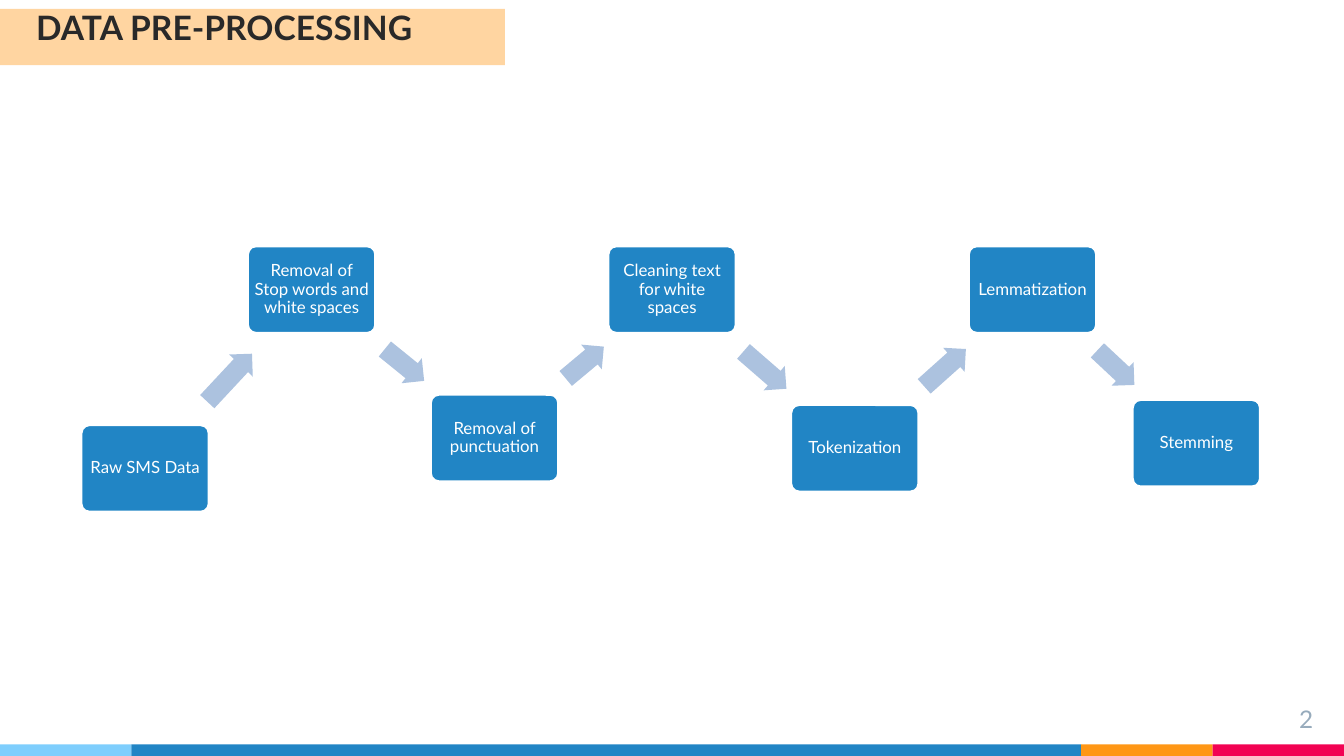
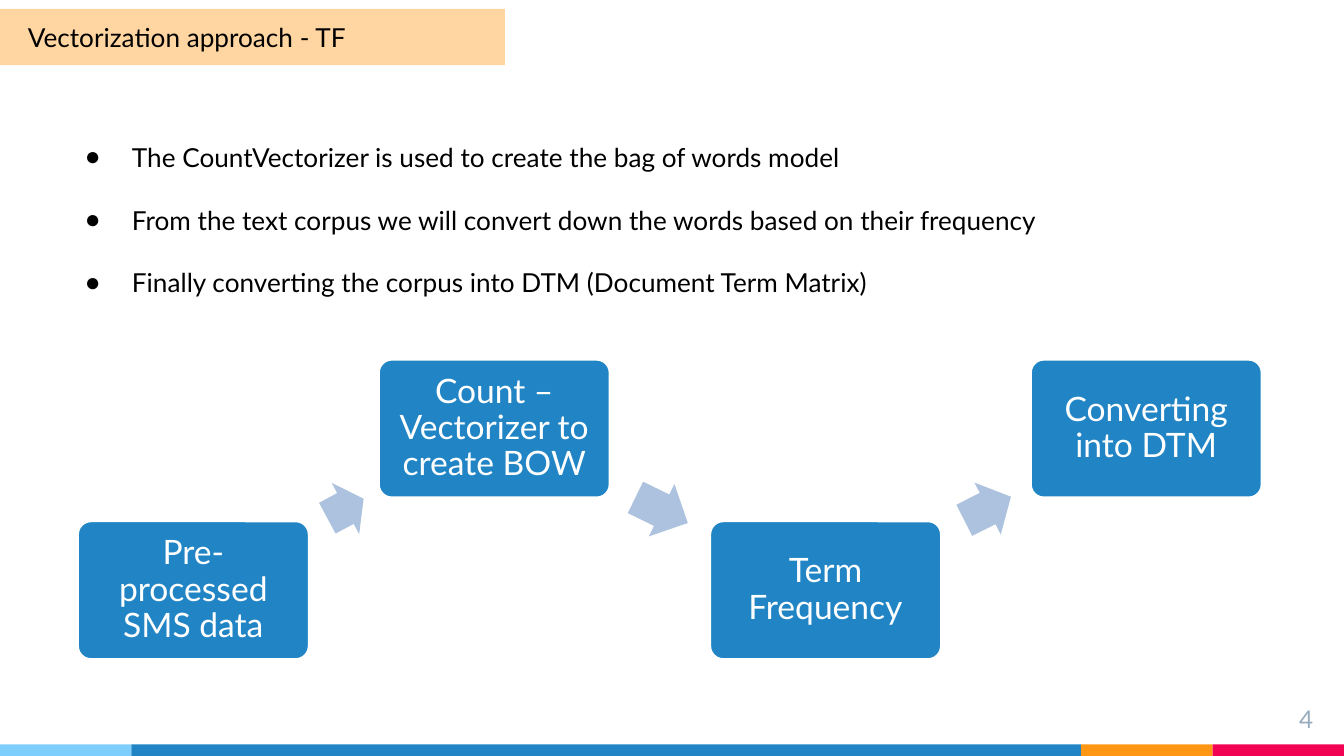
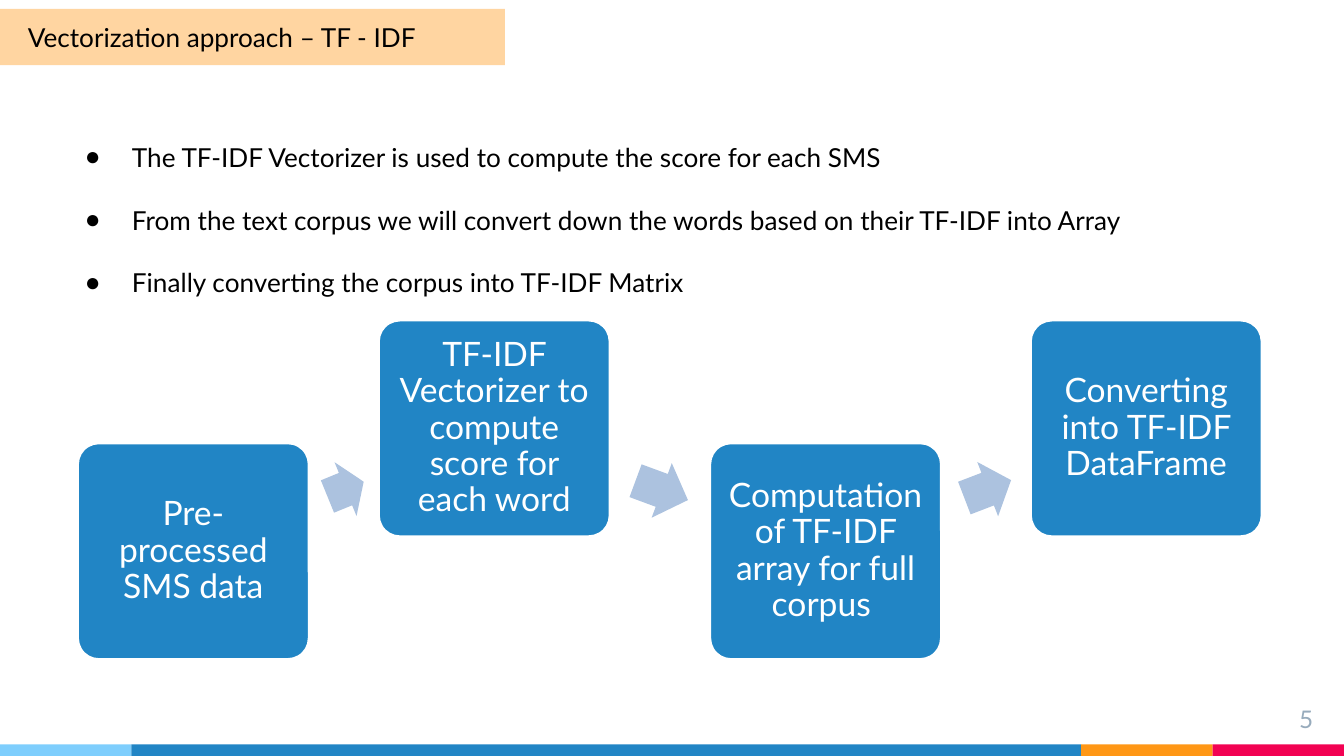
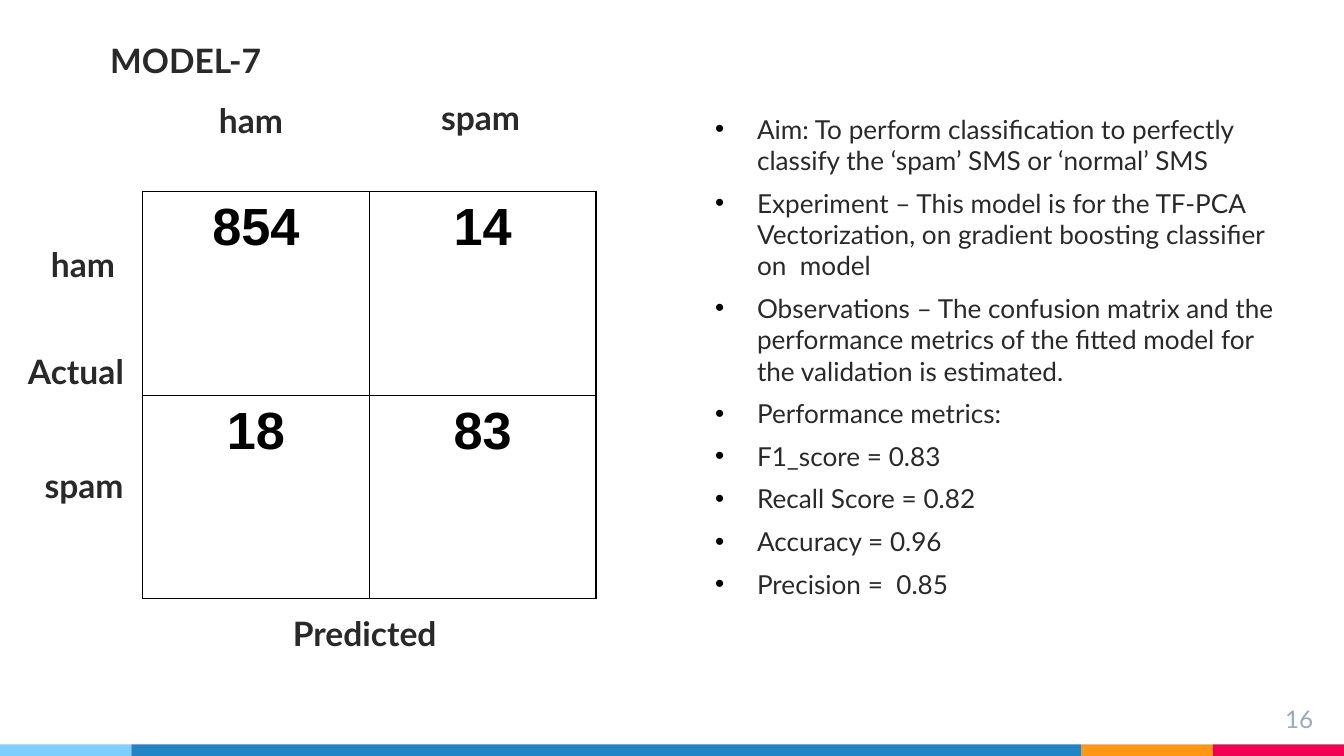
from dataclasses import dataclass
from math import atan2, cos, degrees, hypot, sin
from typing import NamedTuple

from lxml.etree import SubElement
from pptx import Presentation
from pptx.dml.color import RGBColor
from pptx.enum.shapes import MSO_SHAPE
from pptx.enum.text import MSO_ANCHOR, MSO_AUTO_SIZE, PP_ALIGN
from pptx.oxml.ns import qn
from pptx.util import Pt


@dataclass(frozen=True)
class Theme:
    """Colours, fonts and type sizes of the deck."""
    sky: str = "7ECEFD"
    blue: str = "2185C5"
    orange: str = "FF9715"
    red: str = "F20253"
    peach: str = "FFD5A1"
    arrow: str = "ACC2DF"
    number: str = "97ABBC"
    dark: str = "292929"
    black: str = "000000"
    white: str = "FFFFFF"
    font: str = "Lato"
    table_font: str = "Arial"
    small_step: float = 9
    number_size: float = 13
    body: float = 14
    heading: float = 18
    count: float = 28


T = Theme()
INSET = 7.2


class Box(NamedTuple):
    x: float
    y: float
    w: float
    h: float

    @property
    def center(self) -> tuple[float, float]:
        return self.x + self.w / 2, self.y + self.h / 2


class Style(NamedTuple):
    size: float
    color: str
    bold: bool = False
    font: str = T.font


class Band(NamedTuple):
    box: Box
    color: str


class Label(NamedTuple):
    text: str
    box: Box


class Step(NamedTuple):
    text: str
    x: float
    y: float


class Flow(NamedTuple):
    steps: list[Step]
    w: float
    h: float
    size: float
    inset: float


class Bullets(NamedTuple):
    items: list[str]
    box: Box
    char: str
    indent: float
    color: str
    before: float


HEADING = Style(T.heading, T.dark, True)
BODY = Style(T.body, T.black)
HEADER = Band(Box(0, 4.8, 270.5, 30.2), T.peach)
FOOTER = [
    Band(Box(0, 398.8, 70.4, 6.2), T.sky),
    Band(Box(70.4, 398.8, 508.8, 6.2), T.blue),
    Band(Box(579.2, 398.8, 70.4, 6.2), T.orange),
    Band(Box(649.6, 398.8, 70.4, 6.2), T.red),
]


# Text helpers
def points(*values: float) -> list[Pt]:
    return [Pt(round(v, 2)) for v in values]


def style_text(tf, style: Style, align: PP_ALIGN = PP_ALIGN.LEFT) -> None:
    for p in tf.paragraphs:
        p.alignment = align
        for r in p.runs:
            r.font.name, r.font.size, r.font.bold = style.font, Pt(style.size), style.bold
            r.font.color.rgb = RGBColor.from_string(style.color)


def set_frame(tf, inset_x: float, inset_y: float, anchor: MSO_ANCHOR = MSO_ANCHOR.TOP) -> None:
    tf.word_wrap = True
    tf.auto_size = MSO_AUTO_SIZE.NONE
    tf.vertical_anchor = anchor
    tf.margin_left = tf.margin_right = Pt(inset_x)
    tf.margin_top = tf.margin_bottom = Pt(inset_y)


def add_label(s, label: Label, style: Style, align: PP_ALIGN = PP_ALIGN.LEFT) -> None:
    tf = s.shapes.add_textbox(*points(*label.box)).text_frame
    set_frame(tf, INSET, INSET)
    tf.text = label.text
    style_text(tf, style, align)


def add_bullets(s, bullets: Bullets) -> None:
    tf = s.shapes.add_textbox(*points(*bullets.box)).text_frame
    set_frame(tf, INSET, INSET)
    tf.text = "\n".join(bullets.items)
    for i, p in enumerate(tf.paragraphs):
        pPr = p._p.get_or_add_pPr()
        pPr.set("marL", str(Pt(bullets.indent)))
        pPr.set("indent", str(-Pt(min(bullets.indent, 25.2))))
        color = SubElement(pPr, qn("a:buClr"))
        SubElement(color, qn("a:srgbClr"), val=T.black)
        SubElement(pPr, qn("a:buFont"), typeface="Arial")
        SubElement(pPr, qn("a:buChar"), char=bullets.char)
        if i:
            p.space_before = Pt(bullets.before)
    style_text(tf, Style(T.body, bullets.color))


# Shape helpers
def add_filled(s, kind: MSO_SHAPE, box: Box, color: str):
    sp = s.shapes.add_shape(kind, *points(*box))
    sp.shadow.inherit = False
    sp.fill.solid()
    sp.fill.fore_color.rgb = RGBColor.from_string(color)
    sp.line.fill.background()
    return sp


def add_step(s, step: Step, flow: Flow) -> None:
    box = Box(step.x, step.y, flow.w, flow.h)
    sp = add_filled(s, MSO_SHAPE.ROUNDED_RECTANGLE, box, T.blue)
    sp.adjustments[0] = 0.1
    sp.line.color.rgb = RGBColor.from_string(T.white)
    sp.line.width = Pt(2)
    tf = sp.text_frame
    set_frame(tf, flow.inset, flow.inset, MSO_ANCHOR.MIDDLE)
    tf.text = step.text
    tf.paragraphs[0].line_spacing = 0.9
    style_text(tf, Style(flow.size, T.white), PP_ALIGN.CENTER)


def add_flow_arrow(s, start: Box, end: Box) -> None:
    """Centre an arrow on the line between two boxes, filling 53% of the gap."""
    (x1, y1), (x2, y2) = start.center, end.center
    dx, dy = x2 - x1, y2 - y1
    inside = min(start.w / abs(dx), start.h / abs(dy))
    length = 0.53 * hypot(dx, dy) * (1 - inside)
    height = start.w / 4
    angle = atan2(dy, dx)
    # The arrow sits one point towards its target
    cx, cy = (x1 + x2) / 2 + cos(angle), (y1 + y2) / 2 + sin(angle)
    box = Box(cx - length / 2, cy - height / 2, length, height)
    sp = add_filled(s, MSO_SHAPE.RIGHT_ARROW, box, T.arrow)
    sp.adjustments[0], sp.adjustments[1] = 0.6, 0.5
    sp.rotation = round(degrees(angle) % 360, 1)


def add_flow(s, flow: Flow) -> None:
    for step in flow.steps:
        add_step(s, step, flow)
    boxes = [Box(step.x, step.y, flow.w, flow.h) for step in flow.steps]
    for start, end in zip(boxes, boxes[1:]):
        add_flow_arrow(s, start, end)


def add_matrix(s, counts: list[list[int]], box: Box) -> None:
    n = len(counts)
    table = s.shapes.add_table(n, n, *points(*box)).table
    table.first_row = table.horz_banding = False
    for i, row in enumerate(counts):
        table.rows[i].height = Pt(box.h / n)
        table.columns[i].width = Pt(box.w / n)
        for j, count in enumerate(row):
            cell = table.cell(i, j)
            cell.text = str(count)
            style_text(cell.text_frame, Style(T.count, T.black, True, T.table_font), PP_ALIGN.CENTER)
            tcPr = cell._tc.get_or_add_tcPr()
            for side in ("lnL", "lnR", "lnT", "lnB"):
                line = SubElement(tcPr, qn(f"a:{side}"), w=str(Pt(0.75)))
                fill = SubElement(line, qn("a:solidFill"))
                SubElement(fill, qn("a:srgbClr"), val=T.black)
            cell.fill.background()


# Shared slide parts
def add_footer_to_layout(s) -> None:
    """Draw the footer bands and move them to the layout of the slide."""
    tree = s.slide_layout.element.cSld.spTree
    for band in FOOTER:
        tree.append(add_filled(s, MSO_SHAPE.RECTANGLE, band.box, band.color).element)


def add_slide(prs, title: Label, style: Style, number: int, header: bool = True,
              inset_y: float = INSET):
    s = prs.slides.add_slide(prs.slide_layouts[5])
    if header:
        add_filled(s, MSO_SHAPE.RECTANGLE, HEADER.box, HEADER.color)
    sp = s.shapes.title
    sp.left, sp.top, sp.width, sp.height = points(*title.box)
    set_frame(sp.text_frame, INSET, inset_y)
    sp.text_frame.text = title.text
    style_text(sp.text_frame, style)
    # The title lies in front of the header band
    sp.element.getparent().append(sp.element)
    add_label(s, Label(str(number), Box(667.4, 370, 43.2, 24.5)),
              Style(T.number_size, T.number), PP_ALIGN.RIGHT)
    return s


# Slides
def build_preprocessing(prs) -> None:
    s = add_slide(prs, Label("DATA PRE-PROCESSING", Box(12.2, -3.6, 263.5, 47.5)), HEADING, 2)
    add_footer_to_layout(s)
    top = 131.5
    add_flow(s, Flow([
        Step("Raw SMS Data", 43.2, 227.3),
        Step("Removal of Stop words and white spaces", 132.4, top),
        Step("Removal of punctuation", 230.4, 211),
        Step("Cleaning text for white spaces", 325.5, top),
        Step("Tokenization", 423.4, 216.5),
        Step("Lemmatization", 518.6, top),
        Step("Stemming", 606.4, 213.8),
    ], 69.1, 47.3, T.small_step, 2.4))


def build_vectorization(prs, title: str, number: int, items: list[str], texts: list[str],
                        low: float, high: float, height: float, inset: float) -> None:
    s = add_slide(prs, Label(title, Box(7.7, 7.9, 360, 24.5)), BODY, number, inset_y=3.6)
    add_bullets(s, Bullets(items, Box(27.6, 68.4, 602, 99.4), "●", 36, T.black, 16.8))
    places = zip(texts, (41.3, 202.5, 380, 551.8), (low, high, low, high))
    add_flow(s, Flow([Step(*place) for place in places], 124.6, height, T.heading, inset))


def build_model(prs) -> None:
    s = add_slide(prs, Label("MODEL-7", Box(51.8, 14.4, 146.2, 49)), HEADING, 16, header=False)
    add_matrix(s, [[854, 14], [18, 83]], Box(76.3, 102.7, 243, 218))
    add_bullets(s, Bullets([
        "Aim: To perform classification to perfectly classify the ‘spam’ SMS or ‘normal’ SMS",
        "Experiment – This model is for the TF-PCA Vectorization, on gradient boosting "
        "classifier on  model",
        "Observations – The confusion matrix and the performance metrics of the fitted model "
        "for the validation is estimated.",
        "Performance metrics:",
        "F1_score = 0.83",
        "Recall Score = 0.82",
        "Accuracy = 0.96",
        "Precision =  0.85",
    ], Box(376, 53.3, 326.2, 298.8), "•", 22.5, T.dark, 6))
    for label in (
        Label("ham", Box(110.2, 46.6, 69, 44)),
        Label("spam", Box(229.2, 44.6, 64.8, 49)),
        Label("ham", Box(20.2, 123.3, 55.4, 49)),
        Label("Actual", Box(7.9, 180.7, 67, 49)),
        Label("spam", Box(16.8, 241.9, 67, 49)),
        Label("Predicted", Box(149.8, 320.9, 146.2, 49)),
    ):
        add_label(s, label, HEADING)


def main() -> None:
    prs = Presentation()
    prs.slide_width, prs.slide_height = Pt(720), Pt(405)
    build_preprocessing(prs)
    build_vectorization(
        prs, "Vectorization approach - TF", 4,
        ["The CountVectorizer is used to create the bag of words model",
         "From the text corpus we will convert down the words based on their frequency",
         "Finally converting the corpus into DTM (Document Term Matrix)"],
        ["Pre-processed SMS data", "Count –Vectorizer to create BOW",
         "Term Frequency", "Converting into DTM"],
        low=278.8, high=192.2, height=74.8, inset=6)
    build_vectorization(
        prs, "Vectorization approach – TF - IDF", 5,
        ["The TF-IDF Vectorizer is used to compute the score for each SMS",
         "From the text corpus we will convert down the words based on their TF-IDF into Array",
         "Finally converting the corpus into TF-IDF Matrix"],
        ["Pre-processed SMS data", "TF-IDF Vectorizer to compute score for each word",
         "Computation of TF-IDF array for full corpus ", "Converting into TF-IDF DataFrame"],
        low=237, high=171.2, height=116.6, inset=4.8)
    build_model(prs)
    prs.save("out.pptx")


if __name__ == "__main__":
    main()
